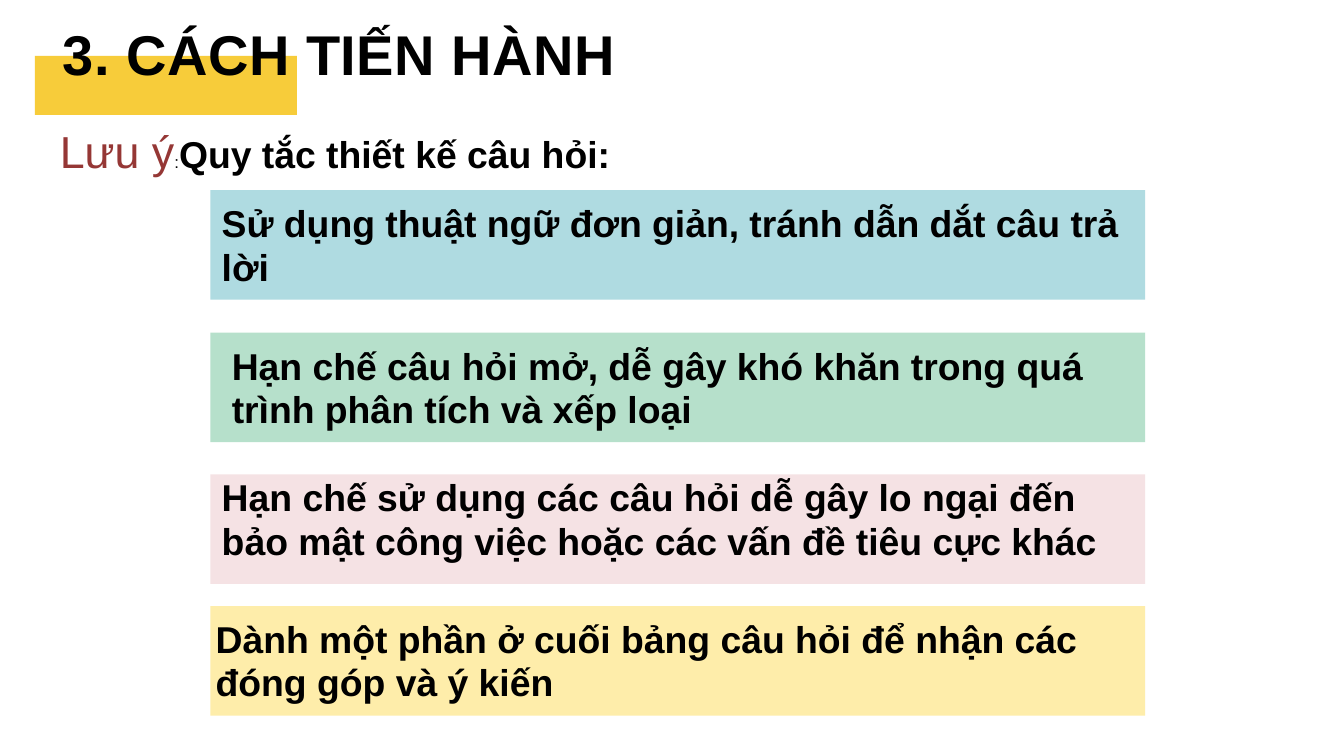
"""Builds a slide listing four rules for designing survey questions."""
from pptx import Presentation
from pptx.dml.color import RGBColor
from pptx.enum.shapes import MSO_SHAPE
from pptx.enum.text import MSO_AUTO_SIZE
from pptx.util import Emu, Pt

RECT = MSO_SHAPE.RECTANGLE
GROW = MSO_AUTO_SIZE.SHAPE_TO_FIT_TEXT
PX = 9144

THEME = {
    "font": "Arial",
    "black": "000000", "red": "953735", "accent": "F7CC3A",
    "blue": "AFDBE1", "green": "B6E0CB", "pink": "F5E2E4", "yellow": "FEEDAA",
    "title": 60, "note": 48, "body": 40, "small": 18,
    "title_line": 60, "body_line": 46.8, "title_spacing": 60,
}

TITLE = [("3. CÁCH TIẾN HÀNH", "title", "black", True)]
NOTE = [
    ("Lưu ý", "note", "red", False),
    (":", "small", "black", False),
    ("Quy tắc thiết kế câu hỏi:", "body", "black", True),
]
RULES = [
    ("Sử dụng thuật ngữ đơn giản, tránh dẫn dắt câu trả lời",
     "blue", 283, (330, 300)),
    ("Hạn chế câu hỏi mở, dễ gây khó khăn trong quá trình phân tích và xếp loại",
     "green", 495, (345, 512)),
    ("Hạn chế sử dụng các câu hỏi dễ gây lo ngại đến bảo mật công việc hoặc các vấn đề tiêu cực khác",
     "pink", 706, (330, 707)),
    ("Dành một phần ở cuối bảng câu hỏi để nhận các đóng góp và ý kiến",
     "yellow", 902, (321, 918)),
]
ACCENT_BOX = (52, 83, 390, 88)
TITLE_BOX = (93, 46, 996, 173)
NOTE_POS = (89, 199)
BAR_LEFT, BAR_SIZE = 313, (1391, 163)
TEXT_SIZE = (1373, 132)


def emu(box):
    return [Emu(v * PX) for v in box]


def add_bar(s, box, color):
    sp = s.shapes.add_shape(RECT, *emu(box))
    sp.shadow.inherit = False
    sp.fill.solid()
    sp.fill.fore_color.rgb = RGBColor.from_string(THEME[color])
    sp.line.fill.background()


def add_text(s, box, runs, line="body_line"):
    tf = s.shapes.add_textbox(*emu(box)).text_frame
    frame = {"word_wrap": True, "auto_size": GROW, "margin_left": 0,
             "margin_top": 0, "margin_right": 0, "margin_bottom": 0}
    for name, value in frame.items():
        setattr(tf, name, value)
    p = tf.paragraphs[0]
    p.line_spacing = Pt(THEME[line])
    for text, size, color, bold in runs:
        r = p.add_run()
        r.text = text
        style = {"name": THEME["font"], "size": Pt(THEME[size]), "bold": bold}
        for name, value in style.items():
            setattr(r.font, name, value)
        r.font.color.rgb = RGBColor.from_string(THEME[color])
    return p


def main():
    prs = Presentation()
    prs.slide_width, prs.slide_height = emu((2000, 1125))
    s = prs.slides.add_slide(prs.slide_layouts[6])
    add_bar(s, ACCENT_BOX, "accent")
    title = add_text(s, TITLE_BOX, TITLE, "title_line")
    title.runs[0].font._element.set("spc", str(THEME["title_spacing"]))
    for text, color, top, pos in RULES:
        add_bar(s, (BAR_LEFT, top, *BAR_SIZE), color)
        add_text(s, (*pos, *TEXT_SIZE), [(text, "body", "black", True)])
    add_text(s, (*NOTE_POS, *TEXT_SIZE), NOTE)
    prs.save("out.pptx")


if __name__ == "__main__":
    main()
